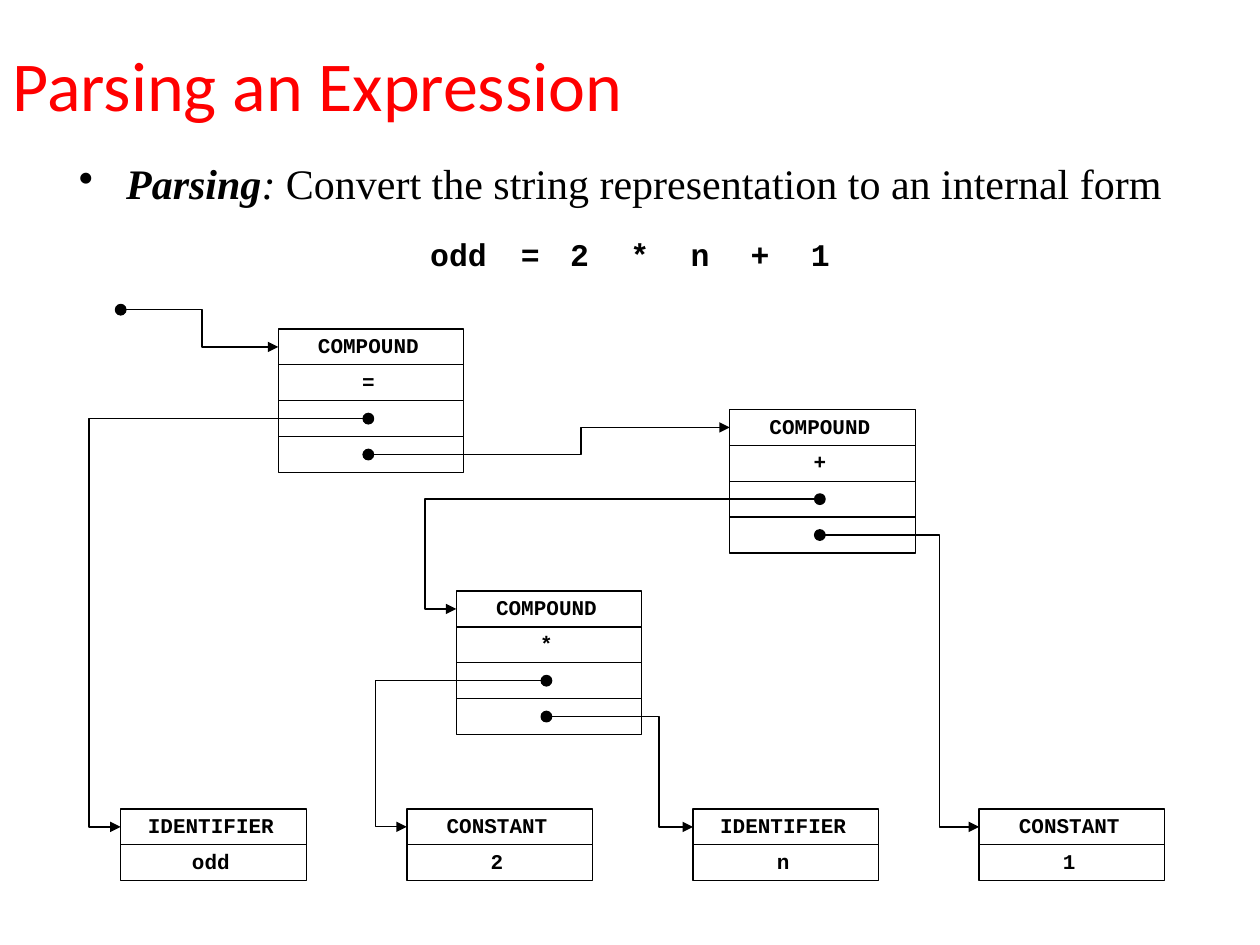
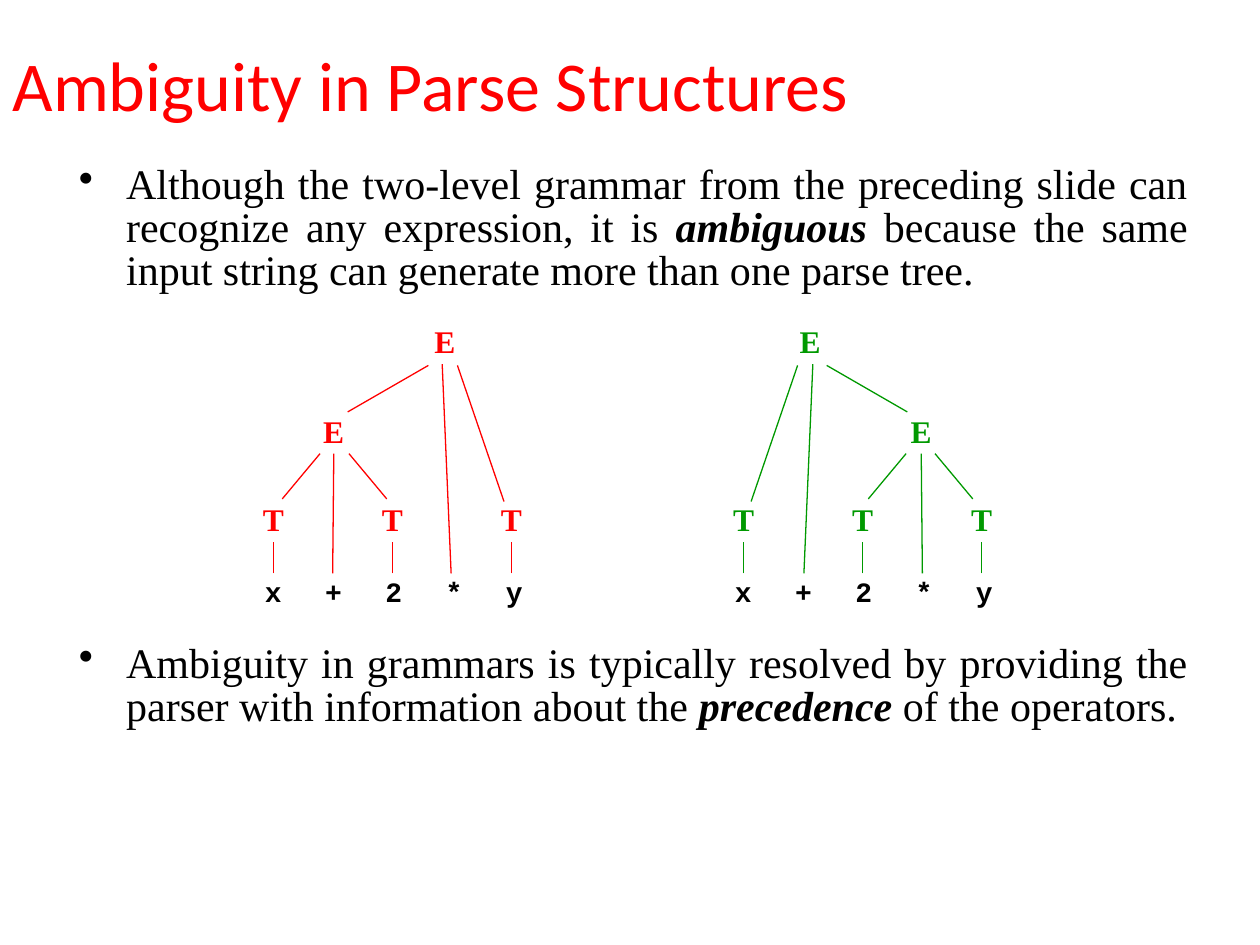
"""Build two slides on parsing: an expression's internal form and ambiguous parse trees."""
from lxml.etree import SubElement
from pptx import Presentation
from pptx.dml.color import RGBColor
from pptx.enum.shapes import MSO_CONNECTOR, MSO_SHAPE
from pptx.enum.text import MSO_ANCHOR, MSO_AUTO_SIZE, PP_ALIGN
from pptx.oxml.ns import qn
from pptx.util import Pt

RED = RGBColor(0xFF, 0x00, 0x00)
GREEN = RGBColor(0x00, 0x99, 0x00)
BLACK = RGBColor(0x00, 0x00, 0x00)
WHITE = RGBColor(0xFF, 0xFF, 0xFF)
TITLE_FONT, BODY_FONT, CODE_FONT = "Calibri", "Times New Roman", "Courier New"
LINE_WIDTH = Pt(0.75)
ROW_WIDTH, ROW_HEIGHT = 106, 20.5
DOT_SIZE, DOT_OFFSET = 6, 51.5
TOKEN_STEP = 34.4


def add_label(slide, text, center, top, size, font_name, color, width=36):
    """Add a centred bold label whose middle is at center."""
    box = slide.shapes.add_textbox(Pt(center - width / 2), Pt(top), Pt(width), Pt(size + 10.8))
    box.text_frame.word_wrap = True
    paragraph = box.text_frame.paragraphs[0]
    paragraph.text = text
    paragraph.alignment = PP_ALIGN.CENTER
    paragraph.font.name, paragraph.font.size = font_name, Pt(size)
    paragraph.font.bold, paragraph.font.color.rgb = True, color


def add_line(slide, kind, start_x, start_y, end_x, end_y, color):
    """Add a thin connector without shadow and return it."""
    connector = slide.shapes.add_connector(kind, Pt(start_x), Pt(start_y), Pt(end_x), Pt(end_y))
    connector.line.color.rgb = color
    connector.line.width = LINE_WIDTH
    SubElement(connector._element.spPr, qn("a:effectLst"))
    return connector


presentation = Presentation()
presentation.slide_width, presentation.slide_height = Pt(720), Pt(540)

# Each bullet is top, height and runs of (text, bold, italic).
contents = [
    ("Parsing an Expression", [
        (91, 47, [("Parsing", True, True), (":", False, True),
                  (" Convert the string representation to an internal form", False, False)]),
    ]),
    ("Ambiguity in Parse Structures", [
        (91, 89, [("Although the two-level grammar from the preceding slide can recognize "
                   "any expression, it is ", False, False), ("ambiguous", True, True),
                  (" because the same input string can generate more than one parse tree.",
                   False, False)]),
        (364.5, 158, [("Ambiguity in grammars is typically resolved by providing the parser "
                       "with information about the ", False, False), ("precedence", True, True),
                      (" of the operators.", False, False)]),
    ]),
]
slides = []
for title_text, bullets in contents:
    slide = presentation.slides.add_slide(presentation.slide_layouts[5])
    slides.append(slide)
    title = slide.shapes.title
    title.left, title.top, title.width, title.height = Pt(0), Pt(6), Pt(720), Pt(90)
    title.text_frame.text = title_text
    title.text_frame.auto_size = MSO_AUTO_SIZE.NONE
    title.text_frame.vertical_anchor = MSO_ANCHOR.MIDDLE
    paragraph = title.text_frame.paragraphs[0]
    paragraph.alignment, paragraph.line_spacing = PP_ALIGN.LEFT, 0.9
    paragraph.font.name, paragraph.font.size = TITLE_FONT, Pt(40)
    paragraph.font.color.rgb = RED

    for top, height, runs in bullets:
        box = slide.shapes.add_textbox(Pt(38), Pt(top), Pt(648), Pt(height))
        box.text_frame.word_wrap = True
        paragraph = box.text_frame.paragraphs[0]
        paragraph.alignment, paragraph.line_spacing = PP_ALIGN.JUSTIFY, 0.85
        paragraph.font.name, paragraph.font.size = BODY_FONT, Pt(24)
        paragraph.font.color.rgb = BLACK
        properties = paragraph._p.get_or_add_pPr()
        properties.set("marL", str(Pt(27)))
        properties.set("indent", str(Pt(-27)))
        bullet = SubElement(properties, qn("a:buChar"), char="•")
        properties.find(qn("a:defRPr")).addprevious(bullet)
        for text, bold, italic in runs:
            run = paragraph.add_run()
            run.text = text
            run.font.bold, run.font.italic = bold, italic

expression_slide, ambiguity_slide = slides

add_label(expression_slide, "odd", 262, 130.5, 18, CODE_FONT, BLACK, 59)
add_label(expression_slide, "=", 303, 130.5, 18, CODE_FONT, BLACK)
for index, token in enumerate("2*n+1"):
    add_label(expression_slide, token, 331.2 + index * TOKEN_STEP, 130.5, 18, CODE_FONT, BLACK)

nodes = {
    "=": (159, 188, "COMPOUND"),
    "+": (417, 234, "COMPOUND"),
    "*": (260.75, 337.75, "COMPOUND"),
}
leaves = [("odd", "IDENTIFIER"), ("2", "CONSTANT"), ("n", "IDENTIFIER"), ("1", "CONSTANT")]
for index, (name, kind) in enumerate(leaves):
    nodes[name] = (69 + index * 163.5, 462.25, kind)

for name, (left, top, kind) in nodes.items():
    rows = [kind, name, "", ""] if kind == "COMPOUND" else [kind, name]
    for index, text in enumerate(rows):
        cell = expression_slide.shapes.add_shape(
            MSO_SHAPE.RECTANGLE, Pt(left), Pt(top + index * ROW_HEIGHT), Pt(ROW_WIDTH), Pt(ROW_HEIGHT))
        cell.shadow.inherit = False
        cell.fill.solid()
        cell.fill.fore_color.rgb = WHITE
        cell.line.color.rgb, cell.line.width = BLACK, LINE_WIDTH
        if text:
            frame = cell.text_frame
            frame.margin_left = frame.margin_top = 0
            frame.margin_right, frame.margin_bottom = Pt(3), Pt(2)
            frame.vertical_anchor = MSO_ANCHOR.MIDDLE
            paragraph = frame.paragraphs[0]
            paragraph.text = text
            paragraph.alignment = PP_ALIGN.CENTER
            paragraph.font.name, paragraph.font.size = CODE_FONT, Pt(12)
            paragraph.font.bold, paragraph.font.color.rgb = True, BLACK

pointers = [(69, 177, "=", 115.5)]
for parent, row, child, bend in [("=", 2, "odd", 51), ("=", 3, "+", 332), ("+", 2, "*", 243),
                                 ("+", 3, "1", 537), ("*", 2, "2", 214.5), ("*", 3, "n", 376.5)]:
    left, top, kind = nodes[parent]
    pointers.append((left + DOT_OFFSET, top + (row + 0.5) * ROW_HEIGHT, child, bend))

for dot_x, dot_y, child, bend in pointers:
    radius = DOT_SIZE / 2
    dot = expression_slide.shapes.add_shape(
        MSO_SHAPE.OVAL, Pt(dot_x - radius), Pt(dot_y - radius), Pt(DOT_SIZE), Pt(DOT_SIZE))
    dot.shadow.inherit = False
    dot.fill.solid()
    dot.fill.fore_color.rgb = BLACK
    dot.line.color.rgb, dot.line.width = BLACK, LINE_WIDTH

    child_left, child_top, kind = nodes[child]
    start_x = dot_x + radius if bend > dot_x else dot_x - radius
    arrow = add_line(expression_slide, MSO_CONNECTOR.ELBOW, start_x, dot_y,
                     child_left, child_top + ROW_HEIGHT / 2, BLACK)
    arrow_properties = arrow._element.spPr
    SubElement(arrow_properties.find(qn("a:ln")), qn("a:tailEnd"), type="triangle")
    geometry = arrow_properties.find(qn("a:prstGeom"))
    adjustments = geometry.find(qn("a:avLst"))
    if adjustments is None:
        adjustments = SubElement(geometry, qn("a:avLst"))
    ratio = round((bend - start_x) / (child_left - start_x) * 100000)
    SubElement(adjustments, qn("a:gd"), name="adj1", fmla=f"val {ratio}")

term_centers = [156.25 + index * 68 for index in range(3)]
tree_labels = [("E", 254.2, 180.7), ("E", 190.75, 231.8)]
tree_labels += [("T", center, 282.2) for center in term_centers]
branches = [(center, 327.6, center, 309.6) for center in term_centers]
branches += [
    (190.1, 327.6, 190.75, 259.2), (161.3, 285.1, 182.9, 259.2), (221, 285.1, 199.4, 259.2),
    (257.8, 327.6, 252.7, 208.1), (198.7, 235.4, 244.8, 208.8), (288, 286.6, 261.4, 208.8),
]
for color, origin, direction, first_token in [(RED, 0, 1, 156.25), (GREEN, 717.2, -1, 424.8)]:
    for index, token in enumerate("x+2*y"):
        add_label(ambiguity_slide, token, first_token + index * TOKEN_STEP, 324.7, 16, CODE_FONT, BLACK)
    for text, center, top in tree_labels:
        add_label(ambiguity_slide, text, origin + direction * center, top, 18, BODY_FONT, color)
    for start_x, start_y, end_x, end_y in branches:
        add_line(ambiguity_slide, MSO_CONNECTOR.STRAIGHT, origin + direction * start_x, start_y,
                 origin + direction * end_x, end_y, color)

presentation.save("out.pptx")
